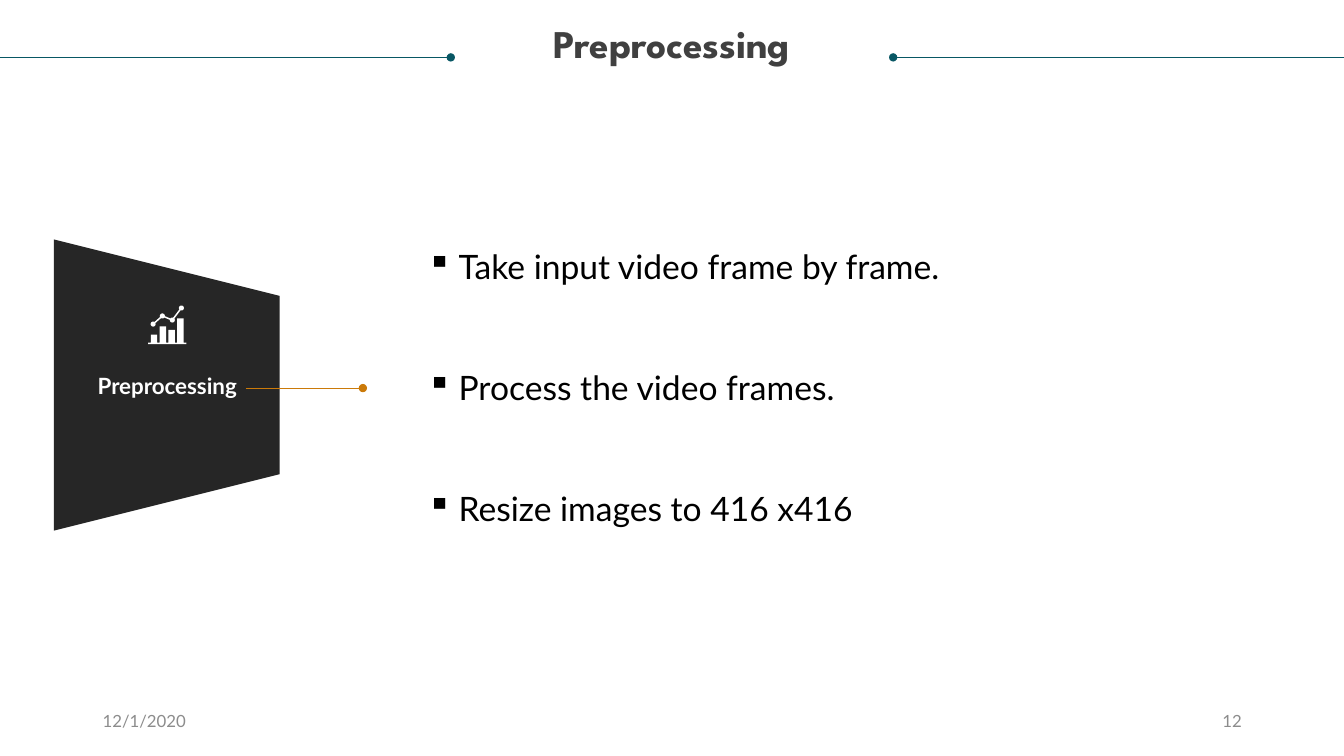
"""Build the Preprocessing slide: ruled title, stage panel with chart icon, and three steps."""
import math

from lxml import etree
from pptx import Presentation
from pptx.dml.color import RGBColor
from pptx.enum.shapes import MSO_CONNECTOR, MSO_SHAPE
from pptx.enum.text import MSO_ANCHOR, PP_ALIGN
from pptx.oxml.ns import qn
from pptx.util import Pt

LEFT, CENTER, RIGHT, JUSTIFY = PP_ALIGN.LEFT, PP_ALIGN.CENTER, PP_ALIGN.RIGHT, PP_ALIGN.JUSTIFY
TOP, MIDDLE = MSO_ANCHOR.TOP, MSO_ANCHOR.MIDDLE
STRAIGHT, TRAPEZOID = MSO_CONNECTOR.STRAIGHT, MSO_SHAPE.TRAPEZOID

THEME = {
    "title": {"name": "League Spartan", "size": Pt(28), "bold": True, "color": "404040"},
    "label": {"name": "Lato", "size": Pt(16), "bold": True, "color": "FFFFFF"},
    "body": {"name": "Lato", "size": Pt(24), "bold": False, "color": "000000"},
    "footer": {"name": "Lato", "size": Pt(12), "bold": False, "color": "8C8C8C"},
    "rule": "085764",
    "pointer": "CB7A09",
    "panel": "262626",
    "icon": "FFFFFF",
}


def add_text(bounds, lines, style, align, anchor=TOP, inset=(7.2, 3.6), bullet=None, gap=0, spacing=1.0):
    """Add a text box with one paragraph per line."""
    box = page.shapes.add_textbox(*map(Pt, bounds))
    frame = box.text_frame
    side, end = map(Pt, inset)
    frame_format = {"word_wrap": True, "vertical_anchor": anchor, "margin_left": side,
                    "margin_right": side, "margin_top": end, "margin_bottom": end}
    for name, value in frame_format.items():
        setattr(frame, name, value)
    for index, line in enumerate(lines):
        para = frame.add_paragraph() if index else frame.paragraphs[0]
        para_format = {"alignment": align, "line_spacing": spacing, "space_before": Pt(gap if index else 0)}
        for name, value in para_format.items():
            setattr(para, name, value)
        if bullet:
            properties = para._p.get_or_add_pPr()
            properties.set("marL", str(Pt(22.5)))
            properties.set("indent", str(-Pt(22.5)))
            etree.SubElement(properties, qn("a:buChar")).set("char", bullet)
        span = para.add_run()
        span.text = line
        for name, value in THEME[style].items():
            if name == "color":
                span.font.color.rgb = RGBColor.from_string(value)
            else:
                setattr(span.font, name, value)


def paint(shape, color):
    """Give a shape a flat fill with no outline or shadow."""
    shape.shadow.inherit = False
    shape.fill.solid()
    shape.fill.fore_color.rgb = RGBColor.from_string(color)
    shape.line.fill.background()


deck = Presentation()
deck.slide_width, deck.slide_height = Pt(960), Pt(540)
page = deck.slides.add_slide(deck.slide_layouts[6])

add_text((18, 17.3, 924, 61), ["Preprocessing"], "title", CENTER, inset=(0, 0), spacing=0.9)

panel = page.shapes.add_shape(TRAPEZOID, Pt(15.1), Pt(194.4), Pt(208), Pt(161.3))
panel.rotation = 90
paint(panel, THEME["panel"])
add_text((65.5, 265.7, 108, 19.4), ["Preprocessing"], "label", CENTER, inset=(0, 0))

for start, end, height, color in (
    (960, 638, 41, "rule"),
    (0, 322, 41, "rule"),
    (175.7, 259.2, 277.2, "pointer"),
):
    line = page.shapes.add_connector(STRAIGHT, Pt(start), Pt(height), Pt(end), Pt(height))
    line.line.width = Pt(0.5)
    line.line.color.rgb = RGBColor.from_string(THEME[color])
    etree.SubElement(line.line._get_or_add_ln(), qn("a:tailEnd")).set("type", "oval")
    etree.SubElement(line._element.spPr, qn("a:effectLst"))

base_top, base_bottom, base_left, base_right = 244.8, 245.8, 105.8, 133.2
bar_width, bar_pitch = 4.6, 6.3
bars = [(base_left, base_top)]
for index, bar_top in enumerate((239, 233.2, 235.6, 227.5)):
    left = 107.7 + index * bar_pitch
    right = left + bar_width
    bars += [(left, base_top), (left, bar_top), (right, bar_top), (right, base_top)]
bars += [(base_right, base_top), (base_right, base_bottom), (base_left, base_bottom)]

nodes = [(109.4, 231.5), (116, 225.7), (123.1, 228.6), (129.6, 220)]
walk = nodes + nodes[-2:0:-1]
radius, opening, steps = 1.8, 0.3, 12
trend = []
for index, (x, y) in enumerate(walk):
    before, after = walk[index - 1], walk[(index + 1) % len(walk)]
    first = math.atan2(before[1] - y, before[0] - x) + opening
    last = math.atan2(after[1] - y, after[0] - x) - opening
    sweep = (last - first) % math.tau
    for step in range(steps + 1):
        angle = first + sweep * step / steps
        trend.append((x + radius * math.cos(angle), y + radius * math.sin(angle)))

for outline in (bars, trend):
    points = [(Pt(x), Pt(y)) for x, y in outline]
    builder = page.shapes.build_freeform(*points[0])
    builder.add_line_segments(points[1:], close=True)
    paint(builder.convert_to_shape(), THEME["icon"])

steps_text = ["Take input video frame by frame.", "Process the video frames.", "Resize images to 416 x416"]
add_text((298, 172, 501, 211), steps_text, "body", JUSTIFY, bullet="▪", gap=57.6)
for left, text, align in ((66.2, "12/1/2020", LEFT), (678.2, "12", RIGHT)):
    add_text((left, 500.4, 216, 28.8), [text], "footer", align, anchor=MIDDLE)

deck.save("out.pptx")
